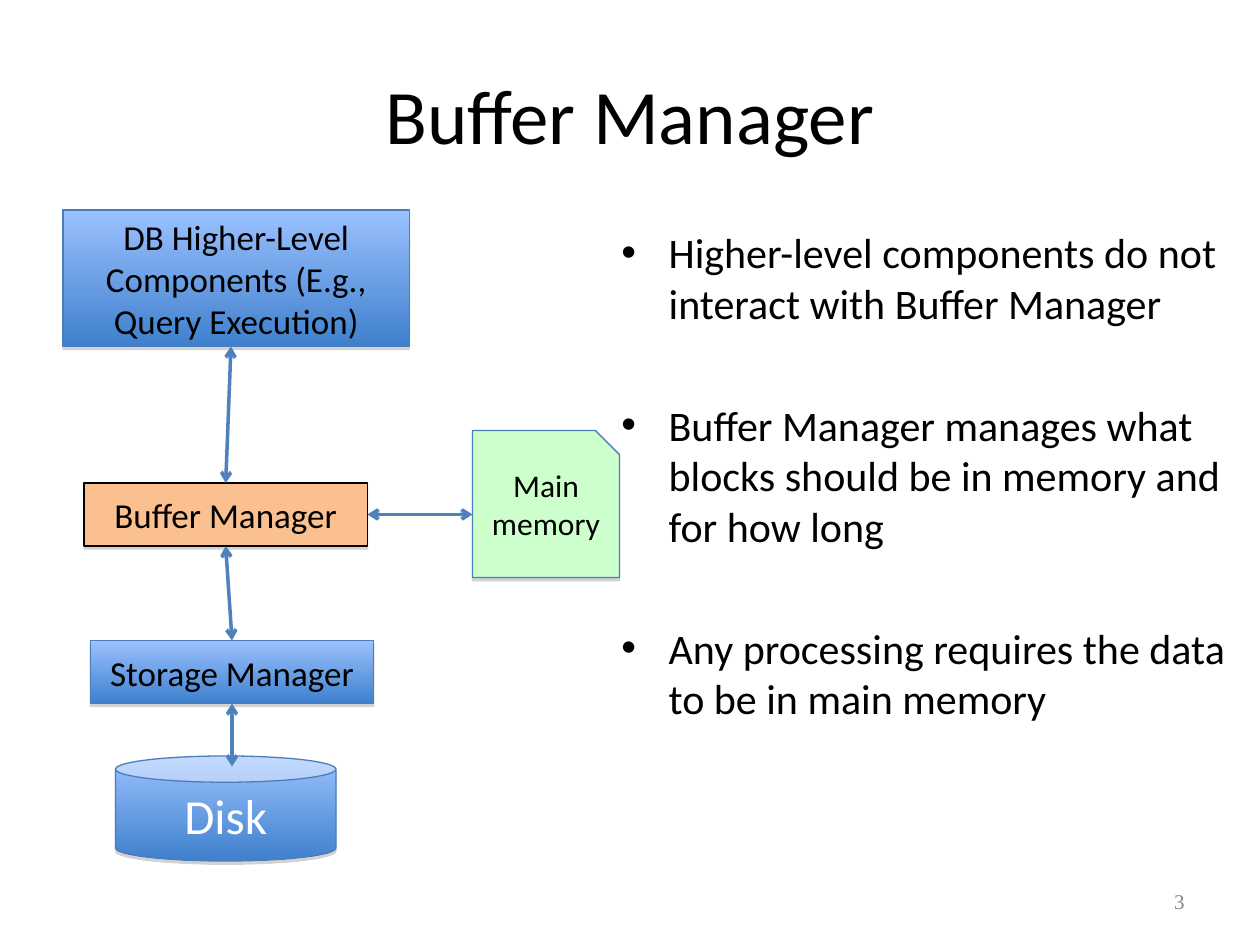
from dataclasses import dataclass
from typing import Optional

from lxml.etree import SubElement
from pptx import Presentation
from pptx.dml.color import RGBColor
from pptx.enum.shapes import MSO_CONNECTOR, MSO_SHAPE
from pptx.enum.text import MSO_ANCHOR, PP_ALIGN
from pptx.oxml.ns import qn
from pptx.util import Emu, Pt

EMU_PER_PX = 7620
TOP, LEFT, BOTTOM, RIGHT = range(4)
COLORS = {
    "black": "000000",
    "white": "FFFFFF",
    "grey": "898989",
    "shadow": "808080",
    "gradient_top": "9BC1FF",
    "gradient_bottom": "3F80CD",
    "outline": "4A7EBB",
    "arrow": "4F81BD",
    "orange": "FAC090",
    "green": "CCFFCC",
}
BULLETS = [
    "Higher-level components do not interact with Buffer Manager",
    "Buffer Manager manages what blocks should be in memory and for how long",
    "Any processing requires the data to be in main memory",
]


@dataclass
class Component:
    text: str
    left: int
    top: int
    width: int
    height: int
    preset: Optional[MSO_SHAPE] = MSO_SHAPE.RECTANGLE
    fill: Optional[str] = None
    outline: str = "outline"
    size: int = 20
    color: str = "black"
    snip: int = 0


@dataclass
class End:
    x: int
    y: int
    component: Optional[str] = None
    side: int = TOP


@dataclass
class Arrow:
    begin: End
    end: End


COMPONENTS = {
    "disk": Component("Disk", 110, 720, 210, 100, MSO_SHAPE.CAN, size=28, color="white"),
    "storage": Component("Storage Manager", 86, 610, 270, 60),
    "higher": Component("DB Higher-Level Components (E.g., Query Execution)", 60, 200, 330, 130),
    "buffer": Component("Buffer Manager", 80, 460, 270, 60, fill="orange", outline="black"),
    "memory": Component("Main memory", 450, 410, 140, 140, None, fill="green", size=18, snip=23),
}
ARROWS = [
    Arrow(End(221, 670, "storage", BOTTOM), End(221, 730)),
    Arrow(End(220, 330), End(215, 460, "buffer", TOP)),
    Arrow(End(215, 520, "buffer", BOTTOM), End(221, 610, "storage", TOP)),
    Arrow(End(350, 490, "buffer", RIGHT), End(450, 490)),
]


def px(value: int) -> Emu:
    return Emu(value * EMU_PER_PX)


def rgb(name: str) -> RGBColor:
    return RGBColor.from_string(COLORS[name])


def write_text(frame, *texts: str, size=20, color="black", font="Calibri",
               align=PP_ALIGN.CENTER, anchor=MSO_ANCHOR.MIDDLE, indent=0, gap=0) -> None:
    frame.word_wrap = True
    frame.vertical_anchor = anchor
    for index, text in enumerate(texts):
        paragraph = frame.add_paragraph() if index else frame.paragraphs[0]
        if indent:
            properties = paragraph._p.get_or_add_pPr()
            properties.set("marL", str(px(indent)))
            properties.set("indent", str(-px(indent)))
            SubElement(properties, qn("a:buFont"), typeface="Arial")
            SubElement(properties, qn("a:buChar"), char="•")
        paragraph.alignment = align
        if index:
            paragraph.space_before = Pt(gap)
        run = paragraph.add_run()
        run.text = text
        run.font.size = Pt(size)
        run.font.name = font
        run.font.color.rgb = rgb(color)


def add_text(slide, left: int, top: int, width: int, height: int, *texts: str, **style) -> None:
    shape = slide.shapes.add_textbox(px(left), px(top), px(width), px(height))
    write_text(shape.text_frame, *texts, **style)


def add_snipped_box(slide, box: Component):
    right, bottom = box.left + box.width, box.top + box.height
    builder = slide.shapes.build_freeform(box.left, box.top, scale=EMU_PER_PX)
    builder.add_line_segments([
        (right - box.snip, box.top), (right, box.top + box.snip),
        (right, bottom), (box.left, bottom),
    ], close=True)
    return builder.convert_to_shape()


def add_shadow(shape) -> None:
    shape.shadow.inherit = False
    effects = shape.element.spPr.find(qn("a:effectLst"))
    shadow = SubElement(effects, qn("a:outerShdw"), blurRad="0", dist=str(Pt(1.8)),
                        dir="5400000", rotWithShape="0")
    color = SubElement(shadow, qn("a:srgbClr"), val=COLORS["shadow"])
    SubElement(color, qn("a:alpha"), val="35000")


def add_component(slide, box: Component):
    if box.preset is None:
        shape = add_snipped_box(slide, box)
    else:
        shape = slide.shapes.add_shape(
            box.preset, px(box.left), px(box.top), px(box.width), px(box.height))
    if box.fill:
        shape.fill.solid()
        shape.fill.fore_color.rgb = rgb(box.fill)
    else:
        shape.fill.gradient()
        shape.fill.gradient_angle = 270
        for index, name in enumerate(("gradient_top", "gradient_bottom")):
            stop = shape.fill.gradient_stops[index]
            stop.position = index
            stop.color.rgb = rgb(name)
    shape.line.color.rgb = rgb(box.outline)
    shape.line.width = Pt(0.75)
    add_shadow(shape)
    write_text(shape.text_frame, box.text, size=box.size, color=box.color)
    return shape


def add_arrow(slide, arrow: Arrow, shapes: dict) -> None:
    begin, end = arrow.begin, arrow.end
    connector = slide.shapes.add_connector(
        MSO_CONNECTOR.STRAIGHT, px(begin.x), px(begin.y), px(end.x), px(end.y))
    if begin.component:
        connector.begin_connect(shapes[begin.component], begin.side)
    if end.component:
        connector.end_connect(shapes[end.component], end.side)
    connector.line.color.rgb = rgb("arrow")
    connector.line.width = Pt(2)
    properties = connector.element.spPr
    line = properties.find(qn("a:ln"))
    for tag in ("a:headEnd", "a:tailEnd"):
        SubElement(line, qn(tag), type="arrow")
    SubElement(properties, qn("a:effectLst"))


def main() -> None:
    presentation = Presentation()
    presentation.slide_width, presentation.slide_height = px(1200), px(900)
    slide = presentation.slides.add_slide(presentation.slide_layouts[6])
    add_text(slide, 60, 36, 1080, 144, "Buffer Manager", size=44)
    add_text(slide, 580, 210, 600, 594, *BULLETS, size=24, align=PP_ALIGN.LEFT,
             anchor=MSO_ANCHOR.TOP, indent=45, gap=41)
    add_text(slide, 860, 834, 280, 48, "3", size=12, color="grey",
             font="Times New Roman", align=PP_ALIGN.RIGHT)
    shapes = {name: add_component(slide, box) for name, box in COMPONENTS.items()}
    for arrow in ARROWS:
        add_arrow(slide, arrow, shapes)
    presentation.save("out.pptx")


if __name__ == "__main__":
    main()
